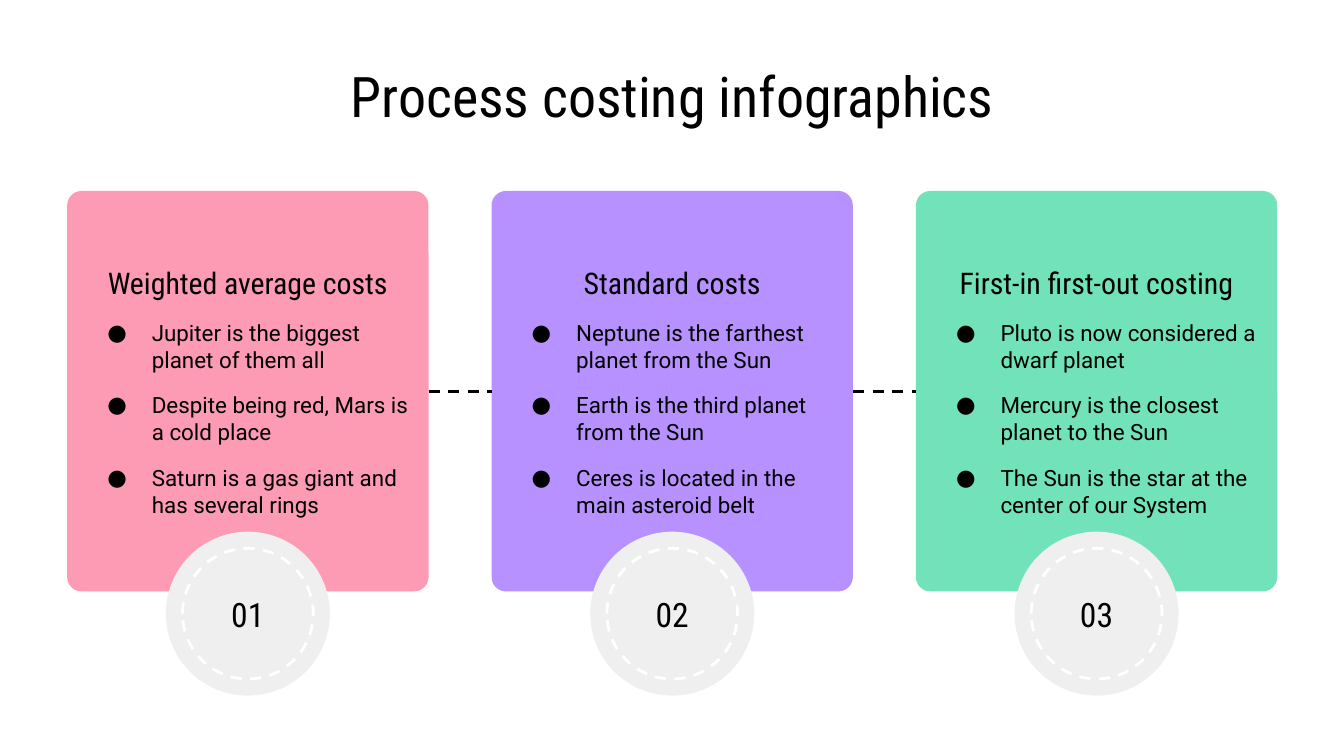
from lxml.etree import SubElement as Sub
from pptx import Presentation
from pptx.dml.color import RGBColor as RGB
from pptx.enum.dml import MSO_LINE as Dash
from pptx.enum.shapes import MSO_CONNECTOR as Conn, MSO_SHAPE as Shape
from pptx.enum.text import MSO_ANCHOR as Anchor, PP_ALIGN as Align
from pptx.oxml.ns import qn
from pptx.util import Cm, Pt


def paint(item, color):
    item.solid()
    item.fore_color.rgb = RGB.from_string(color)


def write(shape, lines, size):
    frame = shape.text_frame
    frame.word_wrap = True
    frame.vertical_anchor = Anchor.MIDDLE
    frame.margin_left = frame.margin_right = Cm(0.25)
    frame.margin_top = frame.margin_bottom = Cm(0.25)
    frame.text = "\n".join(lines)
    for i, par in enumerate(frame.paragraphs):
        par.alignment = Align.LEFT if i else Align.CENTER
        font = par.runs[0].font
        font.name = "Roboto" if i else "Roboto Condensed"
        font.size = Pt(12 if i else size)
        paint(font.fill, "000000")
        if i:
            par.space_before = Pt(10)
            props = par._p.get_or_add_pPr()
            props.set("marL", str(Cm(1.27)))
            props.set("indent", str(Cm(-0.84)))
            tint = Sub(props, qn("a:buClr"))
            Sub(tint, qn("a:srgbClr"), val="000000")
            Sub(props, qn("a:buFont"), typeface="Roboto")
            Sub(props, qn("a:buChar"), char="●")
    if len(lines) > 1:
        frame.paragraphs[-1].space_after = Pt(10)


deck = Presentation()
deck.slide_width, deck.slide_height = Cm(25.4), Cm(14.29)
slide = deck.slides.add_slide(deck.slide_layouts[6])
shapes = slide.shapes

title = shapes.add_textbox(Cm(1.27), Cm(1.14), Cm(22.88), Cm(1.32))
write(title, ["Process costing infographics"], 30)

left, top, wide, high, step = 1.27, 3.61, 6.83, 7.57, 8.02
disc, ring, mid = 3.1, 2.47, 11.6
cards = [
    ("FD9AB4", "Weighted average costs",
     "Jupiter is the biggest planet of them all",
     "Despite being red, Mars is a cold place",
     "Saturn is a gas giant and has several rings"),
    ("B791FF", "Standard costs",
     "Neptune is the farthest planet from the Sun",
     "Earth is the third planet from the Sun",
     "Ceres is located in the main asteroid belt"),
    ("71E2B9", "First-in first-out costing",
     "Pluto is now considered a dwarf planet",
     "Mercury is the closest planet to the Sun",
     "The Sun is the star at the center of our System"),
]

for i, (color, *lines) in enumerate(cards):
    x = left + i * step
    card = shapes.add_shape(Shape.ROUNDED_RECTANGLE, Cm(x), Cm(top), Cm(wide), Cm(high))
    card.adjustments[0] = 0.04
    card.shadow.inherit = False
    paint(card.fill, color)
    card.line.fill.background()
    write(card, lines, 16)

    for size in (disc, ring):
        badge = shapes.add_shape(Shape.OVAL, Cm(x + (wide - size) / 2),
                                 Cm(mid - size / 2), Cm(size), Cm(size))
        badge.shadow.inherit = False
        if size == disc:
            paint(badge.fill, "EFEFEF")
            badge.line.fill.background()
        else:
            badge.fill.background()
            paint(badge.line.fill, "FFFFFF")
            badge.line.width = Pt(1.5)
            badge.line.dash_style = Dash.DASH
            write(badge, [f"{i + 1:02}"], 18)

for i in range(len(cards) - 1):
    x, y = left + i * step, top + high / 2
    link = shapes.add_connector(Conn.STRAIGHT, Cm(x + wide), Cm(y), Cm(x + step), Cm(y))
    paint(link.line.fill, "000000")
    link.line.width = Pt(1.5)
    link.line.dash_style = Dash.DASH
    Sub(link._element.spPr, qn("a:effectLst"))

deck.save("out.pptx")
